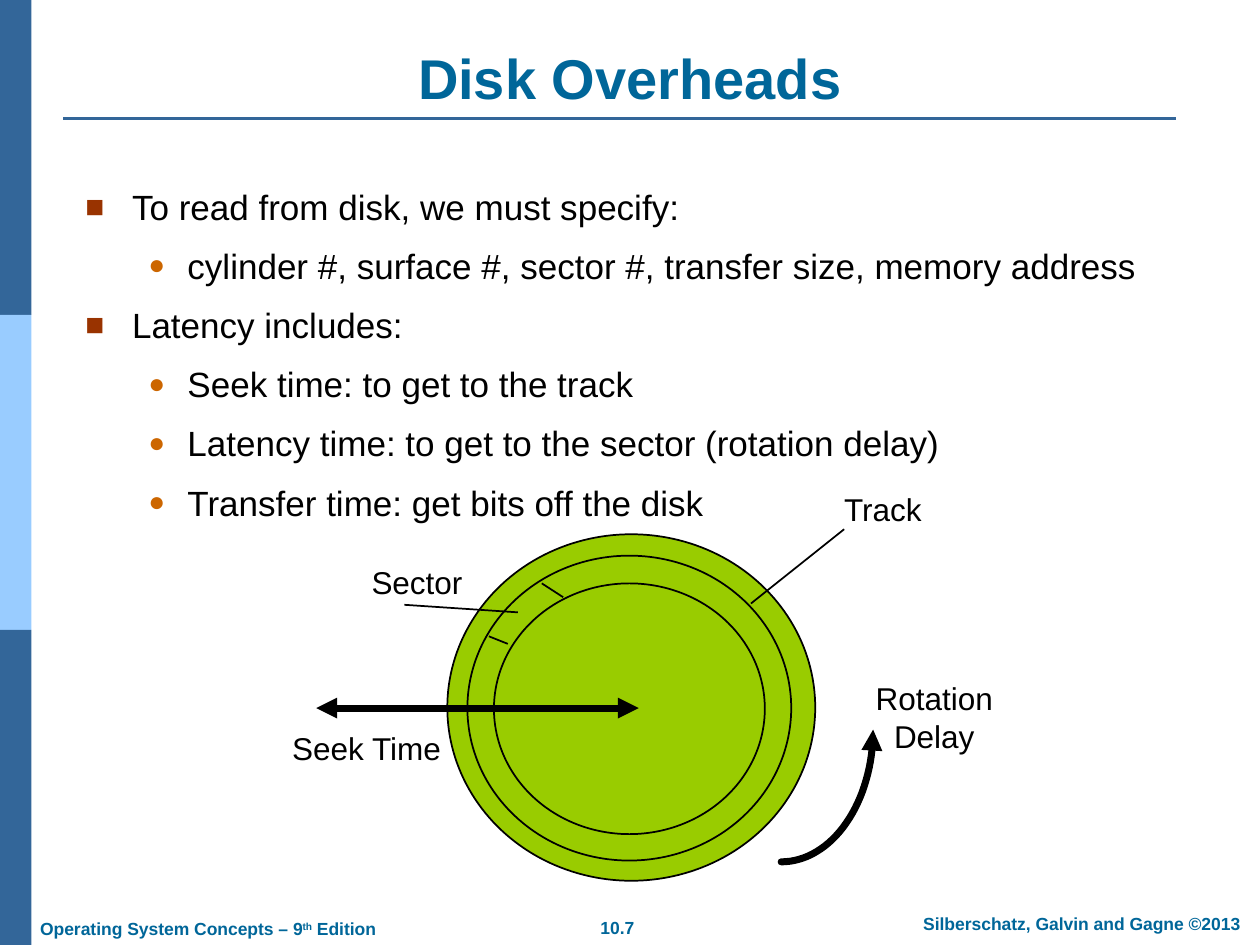
"""Build the Disk Overheads slide."""
import math
from dataclasses import dataclass

import lxml.etree
import pptx
import pptx.dml.color
import pptx.enum.shapes
import pptx.enum.text
import pptx.oxml.ns
import pptx.util

Inches = pptx.util.Inches
Pt = pptx.util.Pt
Kind = pptx.enum.shapes.MSO_SHAPE
Side = pptx.enum.text.PP_ALIGN
qn = pptx.oxml.ns.qn


@dataclass(frozen=True)
class Theme:
    font: str = "Arial"
    head: str = "006699"
    ink: str = "000000"
    dark: str = "336699"
    light: str = "99CCFF"
    disk: str = "99CC00"
    square: str = "993300"
    dot: str = "CC6600"
    title: int = 32
    body: int = 20
    label: int = 18
    foot: int = 10
    thin: float = 1
    rule: float = 1.5
    thick: float = 4


@dataclass(frozen=True)
class Box:
    left: float
    top: float
    width: float
    height: float

    def spans(self) -> list:
        return [Inches(v) for v in (self.left, self.top, self.width, self.height)]


@dataclass(frozen=True)
class Note:
    box: Box
    lines: tuple
    side: Side = Side.LEFT
    wrap: bool = False


@dataclass(frozen=True)
class Stroke:
    start: tuple
    end: tuple


@dataclass(frozen=True)
class Level:
    mark: str
    hue: str
    size: int
    left: float
    hang: float


THEME = Theme()
LEVELS = (
    Level("■", THEME.square, 90, 0.37, 0.37),
    Level("●", THEME.dot, 80, 0.81, 0.31),
)
POINTS = (
    (0, "To read from disk, we must specify:"),
    (1, "cylinder #, surface #, sector #, transfer size, memory address"),
    (0, "Latency includes:"),
    (1, "Seek time: to get to the track"),
    (1, "Latency time: to get to the sector (rotation delay)"),
    (1, "Transfer time: get bits off the disk"),
)
RINGS = (
    Box(3.55, 4.24, 2.92, 2.75),
    Box(3.71, 4.41, 2.57, 2.42),
    Box(3.92, 4.63, 2.15, 1.99),
)
LEADS = (
    Stroke((5.96, 4.79), (6.7, 4.2)),
    Stroke((4.3, 4.63), (4.47, 4.74)),
    Stroke((3.88, 5.05), (4.03, 5.11)),
    Stroke((3.21, 4.8), (4.11, 4.86)),
)
LABELS = (
    Note(Box(6.6, 3.84, 0.82, 0.4), ("Track",)),
    Note(Box(2.85, 4.42, 0.92, 0.4), ("Sector",)),
    Note(Box(2.22, 5.74, 1.39, 0.4), ("Seek Time",)),
    Note(Box(6.85, 5.34, 1.13, 0.7), ("Rotation", "Delay"), Side.CENTER),
)
FEET = (
    Note(Box(4.37, 7.23, 1.06, 0.27), ("10.7",), Side.CENTER),
    Note(Box(7.1, 7.2, 2.97, 0.27), ("Silberschatz, Galvin and Gagne ©2013",), Side.CENTER, True),
)


def paint(code: str) -> pptx.dml.color.RGBColor:
    return pptx.dml.color.RGBColor.from_string(code)


def add_run(para, text: str, size: int, hue: str, bold: bool = False):
    run = para.add_run()
    run.text = text
    font = run.font
    font.name, font.size, font.bold = THEME.font, Pt(size), bold
    font.color.rgb = paint(hue)
    return run


def add_box(slide, box: Box, wrap: bool = False):
    frame = slide.shapes.add_textbox(*box.spans()).text_frame
    frame.word_wrap = wrap
    return frame


def add_note(slide, note: Note, size: int, hue: str, bold: bool = False) -> None:
    frame = add_box(slide, note.box, note.wrap)
    for i, text in enumerate(note.lines):
        para = frame.add_paragraph() if i else frame.paragraphs[0]
        para.alignment = note.side
        add_run(para, text, size, hue, bold)


def add_shape(slide, kind: Kind, box: Box, hue: str, edge: bool = False) -> None:
    shape = slide.shapes.add_shape(kind, *box.spans())
    shape.shadow.inherit = False
    shape.fill.solid()
    shape.fill.fore_color.rgb = paint(hue)
    if edge:
        ink_line(shape, THEME.ink, THEME.thin)
    else:
        shape.line.fill.background()


def ink_line(shape, hue: str, width: float, ends: tuple = ()) -> None:
    shape.line.color.rgb = paint(hue)
    shape.line.width = Pt(width)
    edge = shape.line._get_or_add_ln()
    for end in ends:
        lxml.etree.SubElement(edge, qn(f"a:{end}"), type="triangle")


def add_line(slide, stroke: Stroke, hue: str, width: float, ends: tuple = ()) -> None:
    spots = [Inches(v) for v in stroke.start + stroke.end]
    line = slide.shapes.add_connector(pptx.enum.shapes.MSO_CONNECTOR.STRAIGHT, *spots)
    ink_line(line, hue, width, ends)
    lxml.etree.SubElement(line._element.spPr, qn("a:effectLst"))


def add_arc(slide, mid: tuple, wide: float, high: float, steps: int = 32) -> None:
    turns = [math.pi / 2 * (1 - i / steps) for i in range(steps + 1)]
    spots = [
        (Inches(mid[0] + wide * math.cos(t)), Inches(mid[1] + high * math.sin(t)))
        for t in turns
    ]
    pen = slide.shapes.build_freeform(*spots[0])
    pen.add_line_segments(spots[1:], close=False)
    arc = pen.convert_to_shape()
    arc.shadow.inherit = False
    arc.fill.background()
    ink_line(arc, THEME.ink, THEME.thick, ("tailEnd",))
    arc.line._get_or_add_ln().set("cap", "rnd")


def add_mark(para, level: Level) -> None:
    props = para._p.get_or_add_pPr()
    props.set("marL", str(Inches(level.left)))
    props.set("indent", str(-Inches(level.hang)))
    tint = lxml.etree.SubElement(props, qn("a:buClr"))
    lxml.etree.SubElement(tint, qn("a:srgbClr"), val=level.hue)
    lxml.etree.SubElement(props, qn("a:buSzPct"), val=str(level.size * 1000))
    lxml.etree.SubElement(props, qn("a:buFont"), typeface=THEME.font)
    lxml.etree.SubElement(props, qn("a:buChar"), char=level.mark)


def add_points(slide, box: Box) -> None:
    frame = add_box(slide, box, True)
    for i, (depth, text) in enumerate(POINTS):
        para = frame.add_paragraph() if i else frame.paragraphs[0]
        para.level = depth
        add_mark(para, LEVELS[depth])
        para.space_before = Pt(9.8 if i else 0)
        add_run(para, text, THEME.body, THEME.ink)


def add_title(slide, box: Box, text: str) -> None:
    title = slide.shapes.title
    title.left, title.top, title.width, title.height = box.spans()
    frame = title.text_frame
    frame.vertical_anchor = pptx.enum.text.MSO_ANCHOR.BOTTOM
    para = frame.paragraphs[0]
    para.alignment = Side.CENTER
    add_run(para, text, THEME.title, THEME.head, True)


def main() -> None:
    deck = pptx.Presentation()
    deck.slide_width, deck.slide_height = Inches(10), Inches(7.5)
    slide = deck.slides.add_slide(deck.slide_layouts[5])
    for i, hue in enumerate((THEME.dark, THEME.light, THEME.dark)):
        add_shape(slide, Kind.RECTANGLE, Box(0, 2.5 * i, 0.25, 2.5), hue)
    add_line(slide, Stroke((0.5, 0.94), (9.33, 0.94)), THEME.dark, THEME.rule)
    for note in FEET:
        add_note(slide, note, THEME.foot, THEME.head, True)
    para = add_box(slide, Box(0.22, 7.24, 2.87, 0.27)).paragraphs[0]
    for text, lift in (("Operating System Concepts – 9", 0), ("th", 30), (" Edition", 0)):
        run = add_run(para, text, THEME.foot, THEME.head, True)
        run._r.get_or_add_rPr().set("baseline", str(lift * 1000))
    add_title(slide, Box(0.5, 0.3, 9, 0.63), "Disk Overheads")
    add_points(slide, Box(0.58, 1.42, 9, 4.95))
    for ring in RINGS:
        add_shape(slide, Kind.OVAL, ring, THEME.disk, True)
    for lead in LEADS:
        add_line(slide, lead, THEME.ink, THEME.thin)
    seek = Stroke((5.07, 5.62), (2.51, 5.62))
    add_line(slide, seek, THEME.ink, THEME.thick, ("headEnd", "tailEnd"))
    add_arc(slide, (6.2, 5.79), 0.73, 1.05)
    for note in LABELS:
        add_note(slide, note, THEME.label, THEME.ink)
    deck.save("out.pptx")


if __name__ == "__main__":
    main()
